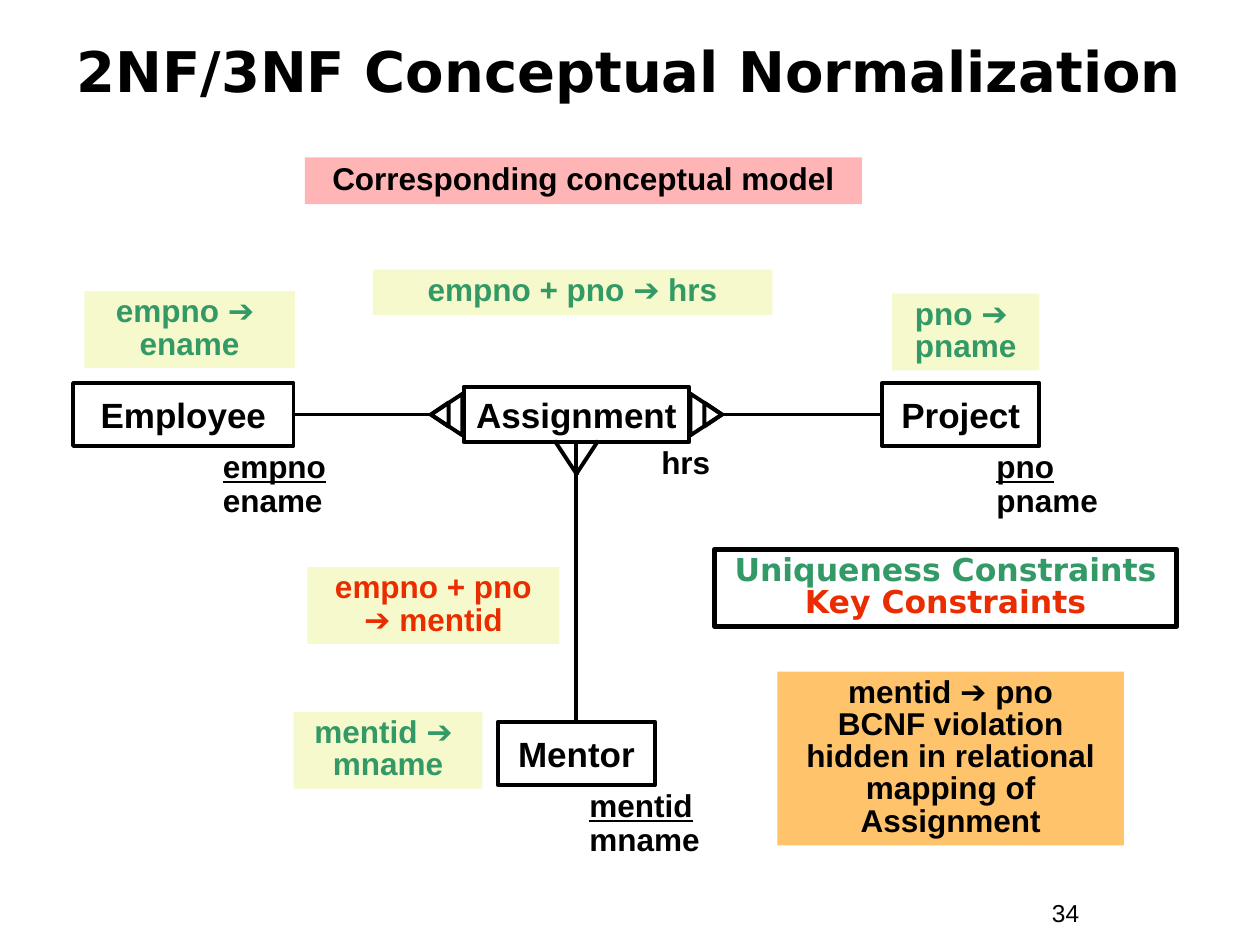
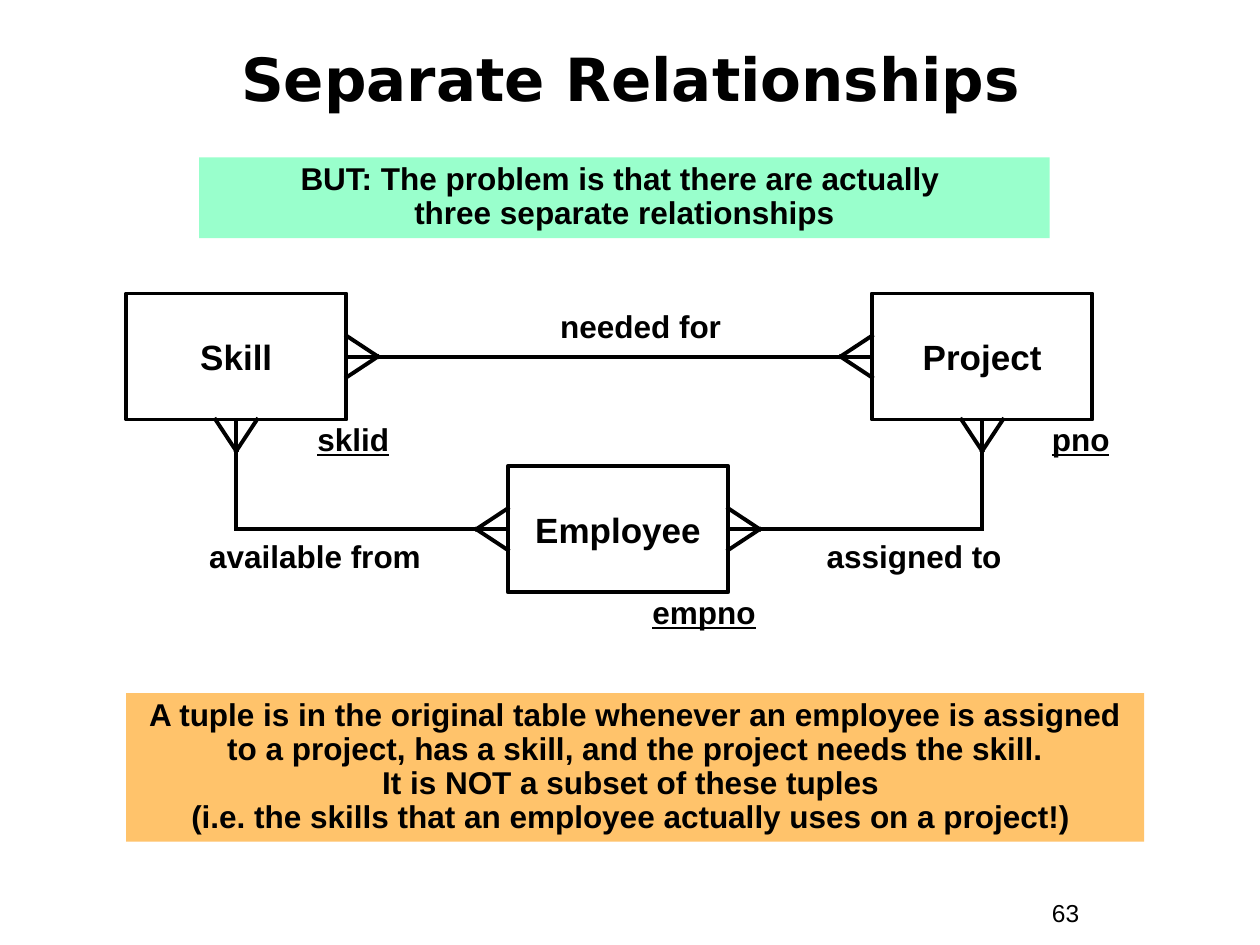
from dataclasses import dataclass

from lxml.etree import SubElement
from pptx import Presentation
from pptx.dml.color import RGBColor
from pptx.enum.shapes import MSO_CONNECTOR as Connector, MSO_SHAPE as Preset
from pptx.enum.text import MSO_ANCHOR as Anchor, PP_ALIGN as Align
from pptx.oxml.ns import qn
from pptx.util import Inches, Pt


@dataclass(frozen=True)
class Theme:
    body_font: str = "Arial"
    title_font: str = "DejaVu Sans"
    black: str = "000000"
    green: str = "339966"
    red: str = "EA2D00"
    pink: str = "FFB5B5"
    mint: str = "99FFCC"
    yellow: str = "F6F9CB"
    orange: str = "FFC36B"
    text_size: float = 18
    entity_size: float = 20
    number_size: float = 14
    line_width: float = 2.25
    legend_width: float = 3
    tight: float = 0.85
    loose: float = 0.9


@dataclass(frozen=True)
class Box:
    left: float
    top: float
    width: float
    height: float

    def inner(self, left, top, width, height):
        """A box whose position is measured from this one."""
        return Box(self.left + left, self.top + top, width, height)

    def side(self, direction):
        """The middle of the side that lies in the given direction."""
        across, down = direction
        return (self.left + self.width * (1 + across) / 2,
                self.top + self.height * (1 + down) / 2)

    def inches(self):
        return [Inches(n) for n in (self.left, self.top, self.width, self.height)]


THEME = Theme()
LEFT, RIGHT, UP, DOWN = (-1, 0), (1, 0), (0, -1), (0, 1)
FOOT_DEPTH, FOOT_SPREAD = 0.25, 0.165
LINE_HEIGHT = 0.37


def color(value):
    return RGBColor.from_string(value)


# Text
def style_span(span, size=THEME.text_size, ink=THEME.black,
               font=THEME.body_font, bold=True):
    span.font.size = Pt(size)
    span.font.name = font
    span.font.bold = bold
    span.font.color.rgb = color(ink)


def fill_text(shape, text, align=Align.CENTER, spacing=None, anchor=Anchor.TOP,
              wrap=True, **style):
    frame = shape.text_frame
    frame.word_wrap = wrap
    frame.vertical_anchor = anchor
    frame.text = text
    for para in frame.paragraphs:
        para.alignment = align
        if spacing:
            para.line_spacing = spacing
        for span in para.runs:
            style_span(span, **style)
    return frame


def add_label(page, box, text, **style):
    return fill_text(page.shapes.add_textbox(*box.inches()), text, **style)


# Shapes and lines
def add_preset(page, box, preset=Preset.RECTANGLE, fill=None, line_width=None):
    shape = page.shapes.add_shape(preset, *box.inches())
    shape.shadow.inherit = False
    if fill:
        shape.fill.solid()
        shape.fill.fore_color.rgb = color(fill)
    else:
        shape.fill.background()
    if line_width:
        shape.line.width = Pt(line_width)
        shape.line.color.rgb = color(THEME.black)
    else:
        shape.line.fill.background()
    return shape


def add_route(page, *points):
    """Straight lines through the points, square ends closing the corners."""
    for start, end in zip(points, points[1:]):
        line = page.shapes.add_connector(
            Connector.STRAIGHT, *[Inches(n) for n in (*start, *end)])
        line.line.width = Pt(THEME.line_width)
        line.line.color.rgb = color(THEME.black)
        properties = line._element.spPr
        properties.find(qn("a:ln")).set("cap", "sq")
        SubElement(properties, qn("a:effectLst"))


def add_note(page, box, text, fill, spacing=THEME.tight, ink=THEME.black):
    fill_text(add_preset(page, box, fill=fill), text, spacing=spacing, ink=ink)


# Entity-relationship parts
def add_entity(page, box, name, overlap, key="", other=""):
    """Entity with its attributes below, starting left of its right edge."""
    shape = add_preset(page, box, line_width=THEME.line_width)
    fill_text(shape, name, anchor=Anchor.MIDDLE, wrap=False, size=THEME.entity_size)
    attributes = [text for text in (key, other) if text]
    below = box.inner(box.width - overlap, box.height - 0.01,
                      1.17, LINE_HEIGHT * len(attributes))
    frame = add_label(page, below, "\n".join(attributes),
                      align=Align.LEFT, spacing=THEME.loose)
    if key:
        frame.paragraphs[0].runs[0].font.underline = True


def add_crow_foot(page, box, direction):
    x, y = box.side(direction)
    across, down = direction
    tip = (x + across * FOOT_DEPTH, y + down * FOOT_DEPTH)
    for spread in (-FOOT_SPREAD, FOOT_SPREAD):
        add_route(page, tip, (x + down * spread, y + across * spread))


def add_identifying_foot(page, box, direction):
    """Two nested triangles that share a tip; returns the tip."""
    x, y = box.side(direction)
    across = direction[0]
    tip_x = x + across * 0.26
    for width, depth in ((2 * FOOT_SPREAD, FOOT_DEPTH), (0.19, 0.14)):
        center_x = tip_x - across * depth / 2
        triangle = add_preset(
            page, Box(center_x - width / 2, y - depth / 2, width, depth),
            Preset.ISOSCELES_TRIANGLE, line_width=THEME.line_width)
        triangle.rotation = 90 * across % 360
    return tip_x, y


# Page frame
def add_page(deck, title, title_box, title_size, number):
    page = deck.slides.add_slide(deck.slide_layouts[6])
    add_label(page, title_box, title, spacing=THEME.tight, anchor=Anchor.MIDDLE,
              size=title_size, font=THEME.title_font)
    add_label(page, Box(8.25, 7.08, 0.92, 0.34), number, align=Align.LEFT,
              size=THEME.number_size, bold=False)
    return page


# Normalization page
def draw_assignment_model(page, area):
    employee = area.inner(0.08, 1.04, 1.75, 0.5)
    project = area.inner(6.5, 1.04, 1.25, 0.5)
    mentor = area.inner(3.45, 3.73, 1.25, 0.5)
    assignment = area.inner(3.18, 1.07, 1.79, 0.44)

    add_entity(page, employee, "Employee", 0.66, "empno", "ename")
    add_entity(page, project, "Project", 0.44, "pno", "pname")
    add_entity(page, mentor, "Mentor", 0.62, "mentid", "mname")
    add_entity(page, assignment, "Assignment", 0.32, other="hrs")

    for entity, side, facing in ((employee, LEFT, RIGHT), (project, RIGHT, LEFT)):
        tip = add_identifying_foot(page, assignment, side)
        add_route(page, entity.side(facing), tip)
    add_crow_foot(page, assignment, DOWN)
    add_route(page, assignment.side(DOWN), mentor.side(UP))


def draw_dependencies(page, area):
    dependencies = (
        ((0.17, 0.31, 1.67, 0.61), "empno ➔ \vename", THEME.green),
        ((2.46, 0.14, 3.17, 0.36), "empno + pno ➔ hrs", THEME.green),
        ((6.58, 0.33, 1.17, 0.61), "pno ➔ \vpname", THEME.green),
        ((1.94, 2.5, 2, 0.61), "empno + pno\v➔ mentid", THEME.red),
        ((1.83, 3.65, 1.5, 0.61), "mentid ➔ \vmname", THEME.green),
    )
    for place, text, ink in dependencies:
        add_note(page, area.inner(*place), text, THEME.yellow, ink=ink)


def draw_legend(page, box):
    frame = fill_text(add_preset(page, box, line_width=THEME.legend_width),
                      "Uniqueness Constraints\vKey Constraints",
                      spacing=THEME.tight, font=THEME.title_font)
    for span, ink in zip(frame.paragraphs[0].runs, (THEME.green, THEME.red)):
        span.font.color.rgb = color(ink)


def build_normalization(deck):
    page = add_page(deck, "2NF/3NF Conceptual Normalization",
                    Box(0.33, 0.14, 9.33, 0.92), 32, "34")
    add_note(page, Box(2.42, 1.25, 4.42, LINE_HEIGHT),
             "Corresponding conceptual model", THEME.pink, THEME.loose)
    diagram = Box(0.5, 2, 9, 5)
    draw_assignment_model(page, diagram)
    draw_dependencies(page, diagram)
    draw_legend(page, Box(5.67, 4.36, 3.67, 0.61))
    add_note(page, Box(6.17, 5.33, 2.75, 1.38),
             "mentid ➔ pno\vBCNF violation hidden in relational mapping of Assignment",
             THEME.orange)


# Separate relationships page
def draw_relationships(page, area):
    skill, project, employee = (
        area.inner(left, top, 1.75, 1)
        for left, top in ((0, 0), (5.92, 0), (3.03, 1.37)))
    add_entity(page, skill, "Skill", 0.33, "sklid")
    add_entity(page, project, "Project", 0.42, "pno")
    add_entity(page, employee, "Employee", 0.7, "empno")

    # Routes between the entities
    add_route(page, skill.side(RIGHT), project.side(LEFT))
    for entity, side in ((skill, LEFT), (project, RIGHT)):
        below, beside = entity.side(DOWN), employee.side(side)
        add_route(page, below, (below[0], beside[1]), beside)
        add_crow_foot(page, entity, DOWN)
        add_crow_foot(page, employee, side)
    add_crow_foot(page, skill, RIGHT)
    add_crow_foot(page, project, LEFT)

    # Relationship names
    for left, top, width, name in ((3.25, 0.09, 1.67, "needed for"),
                                   (0.5, 1.92, 2, "available from"),
                                   (5.42, 1.92, 1.67, "assigned to")):
        add_label(page, area.inner(left, top, width, LINE_HEIGHT), name,
                  spacing=THEME.loose)


def build_relationships(deck):
    page = add_page(deck, "Separate Relationships",
                    Box(0.17, 0.33, 9.67, 0.67), 34, "63")
    add_note(page, Box(1.58, 1.25, 6.75, 0.64),
             "BUT: The problem is that there are actually \v"
             "three separate relationships", THEME.mint, THEME.loose)
    draw_relationships(page, Box(1, 2.33, 7.67, 2.37))
    add_note(page, Box(1, 5.5, 8.08, 1.18),
             "A tuple is in the original table whenever an employee is assigned "
             "to a project, has a skill, and the project needs the skill.\v"
             "It is NOT a subset of these tuples \v"
             "(i.e. the skills that an employee actually uses on a project!) ",
             THEME.orange, THEME.loose)


def main():
    deck = Presentation()
    deck.slide_width, deck.slide_height = Inches(10), Inches(7.5)
    build_normalization(deck)
    build_relationships(deck)
    deck.save("out.pptx")


if __name__ == "__main__":
    main()
